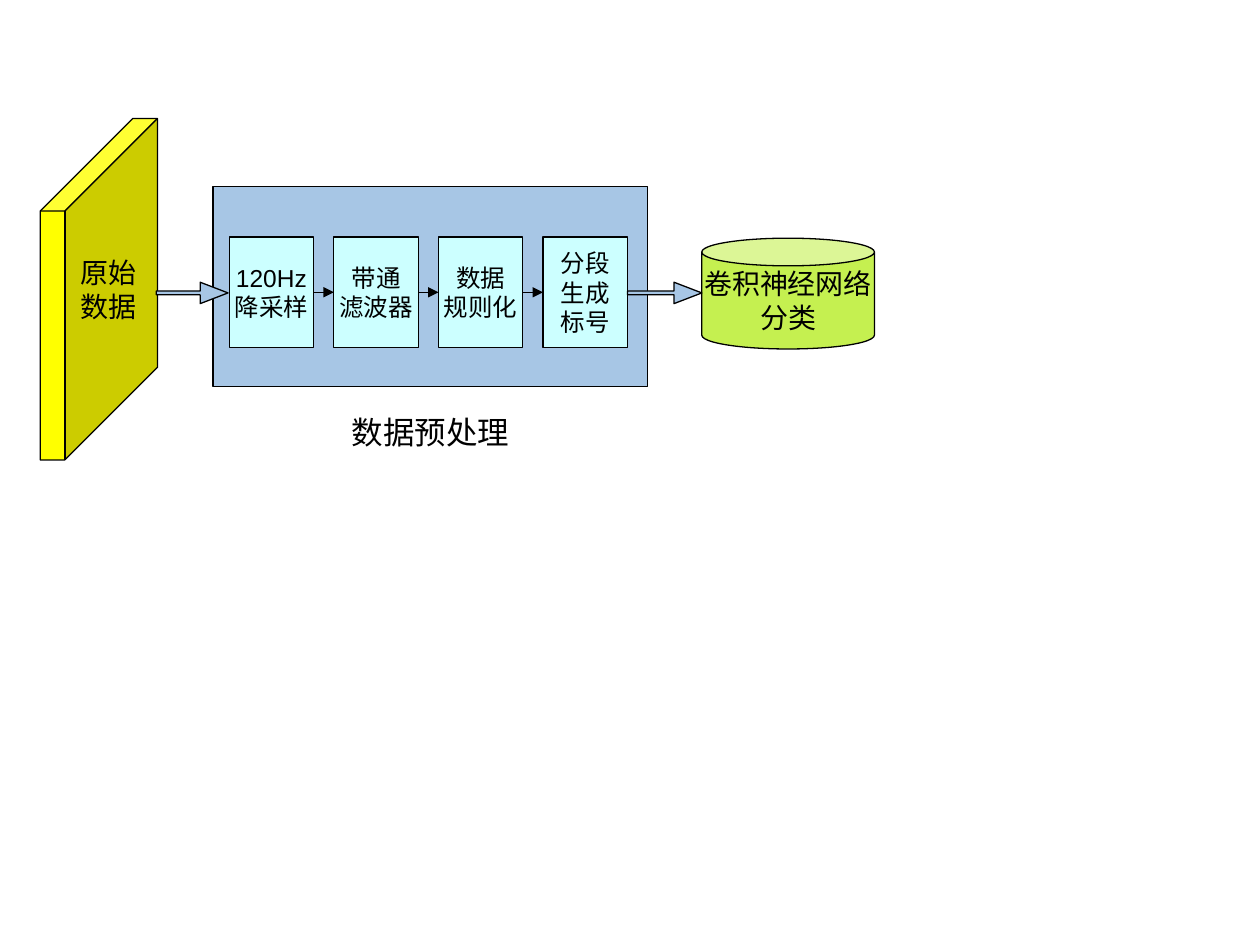
from lxml import etree
from pptx import Presentation
from pptx.dml.color import RGBColor
from pptx.enum.shapes import MSO_CONNECTOR, MSO_SHAPE
from pptx.enum.text import MSO_ANCHOR, MSO_AUTO_SIZE, PP_ALIGN
from pptx.oxml.ns import qn
from pptx.util import Inches, Pt

CUBE, CAN = MSO_SHAPE.CUBE, MSO_SHAPE.CAN
PROCESS, BLOCK_ARROW = MSO_SHAPE.FLOWCHART_PROCESS, MSO_SHAPE.RIGHT_ARROW
STRAIGHT = MSO_CONNECTOR.STRAIGHT
LEFT, CENTER = PP_ALIGN.LEFT, PP_ALIGN.CENTER
MIDDLE, TOP = MSO_ANCHOR.MIDDLE, MSO_ANCHOR.TOP
FIT_SHAPE = MSO_AUTO_SIZE.SHAPE_TO_FIT_TEXT

FONT = "Arial"
LINE_WIDTH = Pt(0.75)
COLORS = {
    "ink": "000000",
    "raw_data": "FFFF00",
    "preprocessing": "A7C6E5",
    "step": "CCFFFF",
    "classifier": "C5F050",
}
STEPS = [
    ["120Hz", "降采样"],
    ["带通", "滤波器"],
    ["数据", "规则化"],
    ["分段", "生成", "标号"],
]
STEP_LEFT, STEP_TOP, STEP_PITCH = 1.82, 1.88, 0.83
STEP_WIDTH, STEP_HEIGHT = 0.67, 0.88


def color(name):
    return RGBColor.from_string(COLORS[name])


def write_lines(shape, lines, size, alignment=CENTER, anchor=MIDDLE, wrap=False):
    frame = shape.text_frame
    frame.word_wrap = wrap
    frame.vertical_anchor = anchor
    for index, line in enumerate(lines):
        paragraph = frame.add_paragraph() if index else frame.paragraphs[0]
        paragraph.alignment = alignment
        run = paragraph.add_run()
        run.text = line
        run.font.name = FONT
        run.font.size = Pt(size)
        run.font.color.rgb = color("ink")


def add_block(slide, kind, box, fill, adjustments=()):
    shape = slide.shapes.add_shape(kind, *map(Inches, box))
    shape.shadow.inherit = False
    shape.fill.solid()
    shape.fill.fore_color.rgb = color(fill)
    shape.line.color.rgb = color("ink")
    shape.line.width = LINE_WIDTH
    for index, value in enumerate(adjustments):
        shape.adjustments[index] = value
    return shape


def add_label(slide, box, lines, size, alignment, wrap):
    label = slide.shapes.add_textbox(*map(Inches, box))
    write_lines(label, lines, size, alignment, TOP, wrap)
    label.text_frame.auto_size = FIT_SHAPE


def add_block_arrow(slide, left, width):
    # Thin shaft, long head
    add_block(slide, BLOCK_ARROW, (left, 2.24, width, 0.17),
              "preprocessing", (0.18, 1.3))


def join_steps(slide, source, target):
    connector = slide.shapes.add_connector(STRAIGHT, 0, 0, 0, 0)
    connector.begin_connect(source, 3)
    connector.end_connect(target, 1)
    connector.line.color.rgb = color("ink")
    connector.line.width = LINE_WIDTH
    line = connector.line._get_or_add_ln()
    etree.SubElement(line, qn("a:tailEnd"), type="triangle")
    etree.SubElement(connector._element.spPr, qn("a:effectLst"))


def main():
    presentation = Presentation()
    presentation.slide_width = Inches(10)
    presentation.slide_height = Inches(7.5)
    slide = presentation.slides.add_slide(presentation.slide_layouts[6])

    # Raw data
    add_block(slide, CUBE, (0.32, 0.94, 0.93, 2.71), "raw_data", (0.79,))
    add_label(slide, (0.54, 1.98, 0.64, 0.64), ["原始", "数据"], 16, LEFT, False)

    # Preprocessing stage
    add_block(slide, PROCESS, (1.69, 1.48, 3.45, 1.59), "preprocessing")
    add_label(slide, (1.69, 3.23, 3.45, 0.4), ["数据预处理"], 18, CENTER, True)
    add_block_arrow(slide, 1.24, 0.57)

    # Processing steps and the arrows between them
    steps = []
    for index, lines in enumerate(STEPS):
        left = STEP_LEFT + index * STEP_PITCH
        box = (left, STEP_TOP, STEP_WIDTH, STEP_HEIGHT)
        step = add_block(slide, PROCESS, box, "step")
        write_lines(step, lines, 14)
        steps.append(step)
    for source, target in zip(steps, steps[1:]):
        join_steps(slide, source, target)

    # Classifier
    classifier = add_block(slide, CAN, (5.57, 1.89, 1.37, 0.88), "classifier", (0.25,))
    write_lines(classifier, ["卷积神经网络", "分类"], 16)
    add_block_arrow(slide, 4.98, 0.59)

    presentation.save("out.pptx")


if __name__ == "__main__":
    main()
